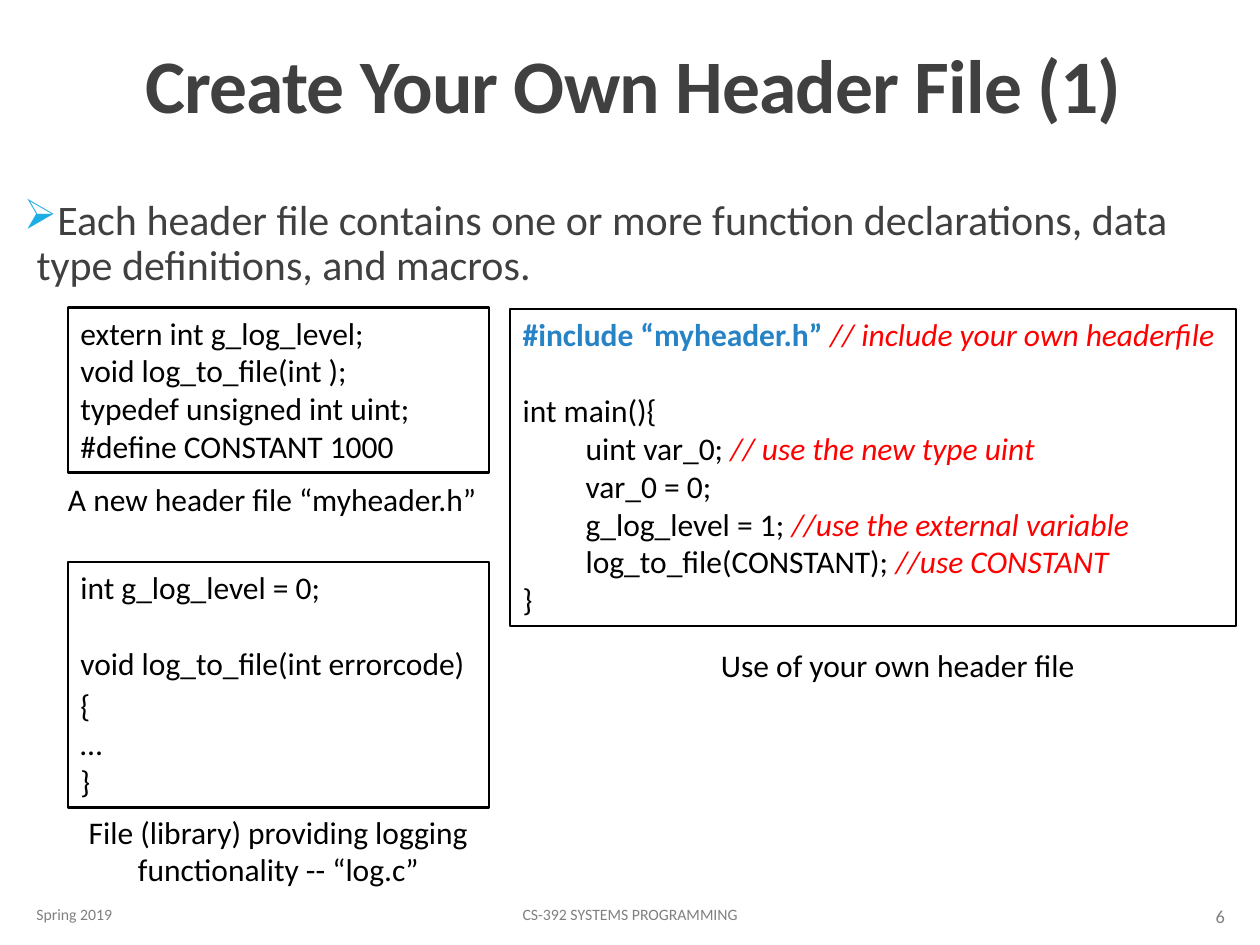
from dataclasses import dataclass

from lxml import etree
from pptx import Presentation
from pptx.dml.color import RGBColor
from pptx.enum.shapes import MSO_SHAPE
from pptx.enum.text import MSO_ANCHOR, PP_ALIGN
from pptx.oxml.ns import qn
from pptx.util import Inches, Pt

RECT = MSO_SHAPE.RECTANGLE
LEFT, CENTER, RIGHT = PP_ALIGN.LEFT, PP_ALIGN.CENTER, PP_ALIGN.RIGHT
TOP, MIDDLE, BOTTOM = MSO_ANCHOR.TOP, MSO_ANCHOR.MIDDLE, MSO_ANCHOR.BOTTOM


@dataclass(frozen=True)
class Theme:
    font: str = "Calibri"
    heading: str = "404040"
    muted: str = "808080"
    ink: str = "000000"
    paper: str = "FFFFFF"
    bullet: str = "1CADE4"
    directive: str = "2683C6"
    comment: str = "FF0000"
    title_size: float = 43.2
    body_size: float = 24
    code_size: float = 18
    footer_size: float = 9
    number_size: float = 10.5
    blank_line: float = 22


THEME = Theme()


@dataclass(frozen=True)
class Label:
    text: str
    at: tuple[float, float, float, float]
    size: float = THEME.code_size
    color: str = THEME.ink
    align: PP_ALIGN = CENTER
    anchor: MSO_ANCHOR = TOP


@dataclass(frozen=True)
class Line:
    code: str
    comment: str = ""
    gap: float = 0
    directive: bool = False


@dataclass(frozen=True)
class CodeBox:
    at: tuple[float, float, float, float]
    lines: tuple[Line, ...]


def set_font(font, size: float, color: str) -> None:
    font.name = THEME.font
    font.size = Pt(size)
    font.color.rgb = RGBColor.from_string(color)


def add_label(s, label: Label):
    tb = s.shapes.add_textbox(*map(Inches, label.at))
    tf = tb.text_frame
    tf.word_wrap = True
    tf.vertical_anchor = label.anchor
    p = tf.paragraphs[0]
    p.text = label.text
    p.alignment = label.align
    set_font(p.font, label.size, label.color)
    return tb


def add_title(s, label: Label) -> None:
    p = add_label(s, label).text_frame.paragraphs[0]
    p.line_spacing = 0.85
    p.font.bold = True
    p.runs[0].font._element.set("spc", "-50")


def add_bullet(s, label: Label) -> None:
    tf = add_label(s, label).text_frame
    tf.margin_left = tf.margin_right = 0
    p = tf.paragraphs[0]
    p.line_spacing = 0.9
    p.space_after = Pt(2)
    pPr = p._p.get_or_add_pPr()
    pPr.set("marL", str(Inches(0.1)))
    pPr.set("indent", str(Inches(-0.1)))
    # Bullet elements sit just before the paragraph's default font
    color = etree.Element(qn("a:buClr"))
    etree.SubElement(color, qn("a:srgbClr")).set("val", THEME.bullet)
    char = etree.Element(qn("a:buChar"))
    char.set("char", "➢")
    default_font = pPr.find(qn("a:defRPr"))
    default_font.addprevious(color)
    default_font.addprevious(char)


def add_code(s, box: CodeBox) -> None:
    sp = s.shapes.add_shape(RECT, *map(Inches, box.at))
    sp.shadow.inherit = False
    sp.fill.solid()
    sp.fill.fore_color.rgb = RGBColor.from_string(THEME.paper)
    sp.line.color.rgb = RGBColor.from_string(THEME.ink)
    sp.line.width = Pt(1.25)
    tf = sp.text_frame
    tf.word_wrap = True
    tf.vertical_anchor = TOP
    for i, line in enumerate(box.lines):
        p = tf.paragraphs[0] if i == 0 else tf.add_paragraph()
        p.alignment = LEFT
        if line.gap:
            p.space_before = Pt(line.gap)
        r = p.add_run()
        r.text = line.code
        set_font(r.font, THEME.code_size,
                 THEME.directive if line.directive else THEME.ink)
        if line.directive:
            r.font.bold = True
        if line.comment:
            r = p.add_run()
            r.text = line.comment
            set_font(r.font, THEME.code_size, THEME.comment)
            r.font.italic = True


TITLE = Label("Create Your Own Header File (1)", (0.9, 0.04, 8.25, 1.03),
              THEME.title_size, THEME.heading, anchor=BOTTOM)
BODY = Label("Each header file contains one or more function declarations, "
             "data type definitions, and macros.", (0.19, 1.53, 9.62, 5.28),
             THEME.body_size, THEME.heading, LEFT)

FOOTERS = (
    Label("Spring 2019", (0.19, 7.06, 2.03, 0.4),
          THEME.footer_size, THEME.muted, LEFT, MIDDLE),
    Label("CS-392 SYSTEMS PROGRAMMING", (3.02, 7.06, 3.96, 0.4),
          THEME.footer_size, THEME.muted, CENTER, MIDDLE),
    Label("6", (8.74, 7.07, 1.08, 0.4),
          THEME.number_size, THEME.muted, RIGHT, MIDDLE),
)

CAPTIONS = (
    Label("File (library) providing logging functionality -- “log.c”",
          (0.48, 6.4, 3.46, 0.71)),
    Label("A new header file “myheader.h”", (0, 3.76, 4.32, 0.4)),
    Label("Use of your own header file", (5.59, 5.08, 3.07, 0.4)),
)

CODE_BOXES = (
    CodeBox((0.54, 4.46, 3.34, 1.95), (
        Line("int g_log_level = 0;"),
        Line("void log_to_file(int errorcode)", gap=THEME.blank_line),
        Line("{", gap=2.4),
        Line("…"),
        Line("}"),
    )),
    CodeBox((0.54, 2.44, 3.34, 1.31), (
        Line("extern int g_log_level;"),
        Line("void log_to_file(int );"),
        Line("typedef unsigned int uint;"),
        Line("#define CONSTANT 1000"),
    )),
    CodeBox((4.05, 2.45, 5.76, 2.52), (
        Line("#include “myheader.h” ", "// include your own headerfile",
             directive=True),
        Line("int main(){", gap=THEME.blank_line),
        Line("\tuint var_0; ", "// use the new type uint"),
        Line("\tvar_0 = 0;"),
        Line("\tg_log_level = 1; ", "//use the external variable"),
        Line("\tlog_to_file(CONSTANT); ", "//use CONSTANT"),
        Line("}"),
    )),
)


def main() -> None:
    prs = Presentation()
    prs.slide_width, prs.slide_height = Inches(10), Inches(7.5)
    s = prs.slides.add_slide(prs.slide_layouts[6])

    # Heading and lead bullet
    add_title(s, TITLE)
    add_bullet(s, BODY)
    # Code listings
    for box in CODE_BOXES:
        add_code(s, box)
    # Captions and footer
    for label in CAPTIONS + FOOTERS:
        add_label(s, label)

    prs.save("out.pptx")


if __name__ == "__main__":
    main()
